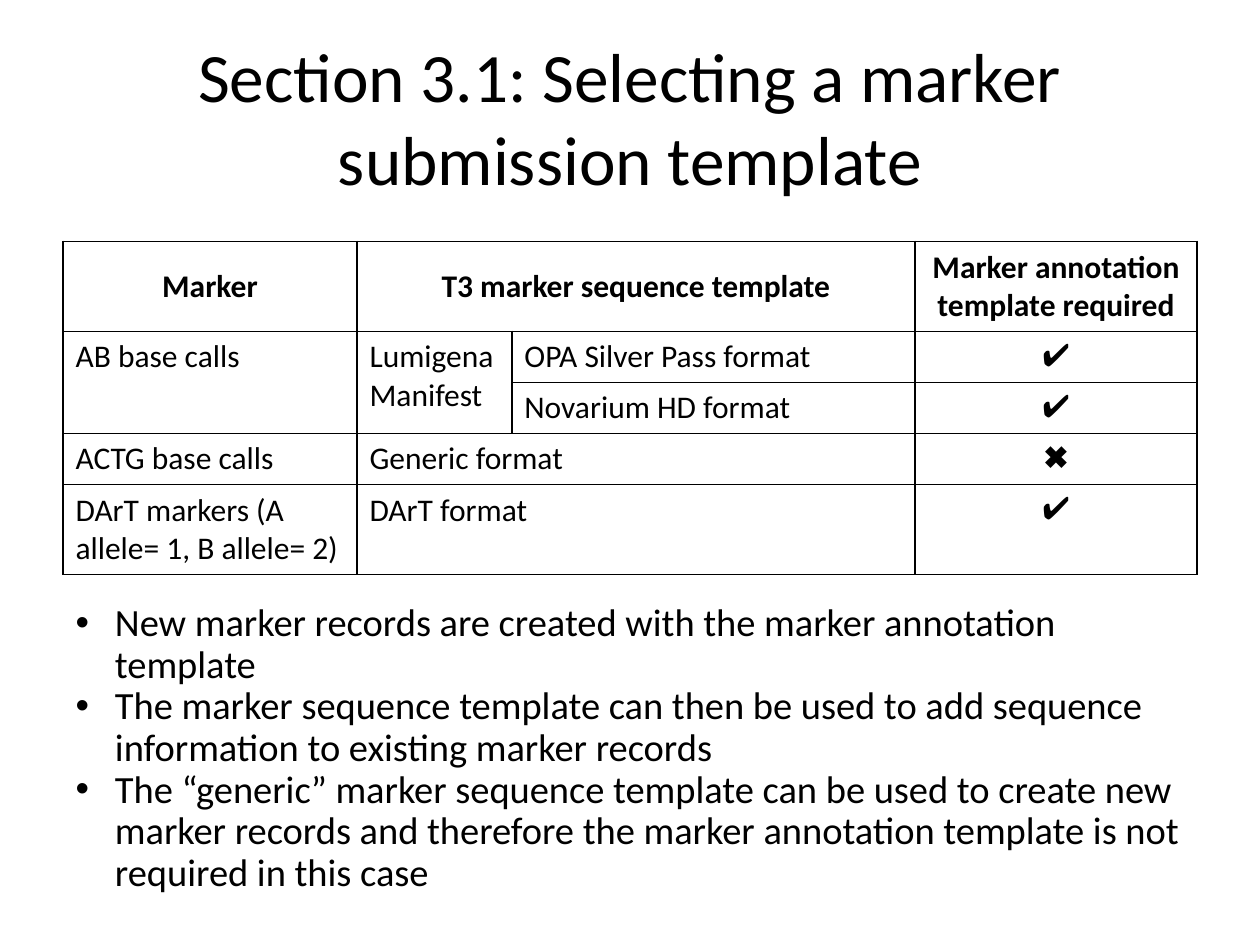
from dataclasses import dataclass

from lxml.etree import SubElement
from pptx import Presentation
from pptx.dml.color import RGBColor
from pptx.enum.text import MSO_ANCHOR, MSO_AUTO_SIZE, PP_ALIGN
from pptx.oxml.ns import qn
from pptx.util import Pt


@dataclass(frozen=True)
class Theme:
    ink: RGBColor = RGBColor(0, 0, 0)
    paper: RGBColor = RGBColor(255, 255, 255)
    text_font: str = "Calibri"
    symbol_font: str = "Arial"
    title_size: float = 39.6
    table_size: float = 18
    usage_size: float = 22
    rule_width: float = 1


THEME = Theme()

TITLE = "Section 3.1: Selecting a marker submission template"
COLUMN_WIDTHS = (168, 88.5, 230.5, 161)
ROW_HEIGHTS = (51.4, 29.2, 29.2, 29.2, 51.4)
MARKER_ROWS = (
    ("Marker", "T3 marker sequence template", None,
     "Marker annotation template required"),
    ("AB base calls", "Lumigena Manifest", "OPA Silver Pass format", "✔"),
    (None, None, "Novarium HD format", "✔"),
    ("ACTG base calls", "Generic format", None, "✖"),
    ("DArT markers (A allele= 1, B allele= 2)", "DArT format", None, "✔"),
)
# First and last (row, column) of each merged cell
MERGES = (
    ((0, 1), (0, 2)),
    ((1, 0), (2, 0)),
    ((1, 1), (2, 1)),
    ((3, 1), (3, 2)),
    ((4, 1), (4, 2)),
)
USAGE_RULES = (
    "New marker records are created with the marker annotation template",
    "The marker sequence template can then be used to add sequence "
    "information to existing marker records",
    "The “generic” marker sequence template can be used to create new marker "
    "records and therefore the marker annotation template is not required in "
    "this case",
)


def apply_format(target, values):
    for attribute, value in values.items():
        setattr(target, attribute, value)


def place(part, box):
    names = ("left", "top", "width", "height")
    apply_format(part, {name: Pt(length) for name, length in zip(names, box)})


def style_paragraph(paragraph, size, layout, font=THEME.text_font, bold=False):
    apply_format(paragraph, layout)
    apply_format(paragraph.font, {"name": font, "size": Pt(size), "bold": bold})
    paragraph.font.color.rgb = THEME.ink


def add_borders(cell):
    properties = cell._tc.get_or_add_tcPr()
    for side in ("a:lnL", "a:lnR", "a:lnT", "a:lnB"):
        line = SubElement(properties, qn(side), w=str(Pt(THEME.rule_width)))
        fill = SubElement(line, qn("a:solidFill"))
        SubElement(fill, qn("a:srgbClr"), val=str(THEME.ink))


def fill_title(title, box):
    place(title, box)
    frame = title.text_frame
    frame.text = TITLE
    apply_format(frame, {"word_wrap": True, "auto_size": MSO_AUTO_SIZE.NONE,
                         "vertical_anchor": MSO_ANCHOR.MIDDLE})
    style_paragraph(frame.paragraphs[0], THEME.title_size,
                    {"alignment": PP_ALIGN.CENTER})


def add_marker_table(slide, box):
    table = slide.shapes.add_table(len(ROW_HEIGHTS), len(COLUMN_WIDTHS),
                                   *map(Pt, box)).table
    apply_format(table, {"first_row": False, "horz_banding": False})
    for column, width in zip(table.columns, COLUMN_WIDTHS):
        column.width = Pt(width)
    for row, height in zip(table.rows, ROW_HEIGHTS):
        row.height = Pt(height)

    for row_index, texts in enumerate(MARKER_ROWS):
        header = row_index == 0
        for column_index, text in enumerate(texts):
            cell = table.cell(row_index, column_index)
            add_borders(cell)
            cell.fill.solid()
            cell.fill.fore_color.rgb = THEME.paper
            if text is None:
                continue
            cell.text = text
            cell.vertical_anchor = MSO_ANCHOR.MIDDLE if header else MSO_ANCHOR.TOP
            symbol = text in ("✔", "✖")
            centred = header or symbol
            style_paragraph(
                cell.text_frame.paragraphs[0], THEME.table_size,
                {"alignment": PP_ALIGN.CENTER if centred else PP_ALIGN.LEFT},
                THEME.symbol_font if symbol else THEME.text_font, header)

    for first, last in MERGES:
        table.cell(*first).merge(table.cell(*last))


def fill_usage_rules(body, box):
    place(body, box)
    frame = body.text_frame
    frame.text = "\n".join(USAGE_RULES)
    apply_format(frame, {"word_wrap": True, "vertical_anchor": MSO_ANCHOR.TOP,
                         "auto_size": MSO_AUTO_SIZE.SHAPE_TO_FIT_TEXT})
    for paragraph in frame.paragraphs:
        # Hanging bullet
        properties = paragraph._p.get_or_add_pPr()
        indent = Pt(22.5)
        properties.set("marL", str(indent))
        properties.set("indent", str(-indent))
        SubElement(properties, qn("a:buFont"), typeface=THEME.symbol_font)
        SubElement(properties, qn("a:buChar"), char="•")
        style_paragraph(paragraph, THEME.usage_size,
                        {"alignment": PP_ALIGN.LEFT, "line_spacing": 0.9,
                         "space_before": Pt(0), "space_after": Pt(0)})


def main():
    presentation = Presentation()
    presentation.slide_width, presentation.slide_height = Pt(720), Pt(540)
    slide = presentation.slides.add_slide(presentation.slide_layouts[1])

    left, width = 36, 648
    fill_title(slide.shapes.title, (left, 21.6, width, 90))
    add_marker_table(slide, (left, 138, width, sum(ROW_HEIGHTS)))
    fill_usage_rules(slide.placeholders[1], (left, 341.3, width, 175.7))
    presentation.save("out.pptx")


if __name__ == "__main__":
    main()
